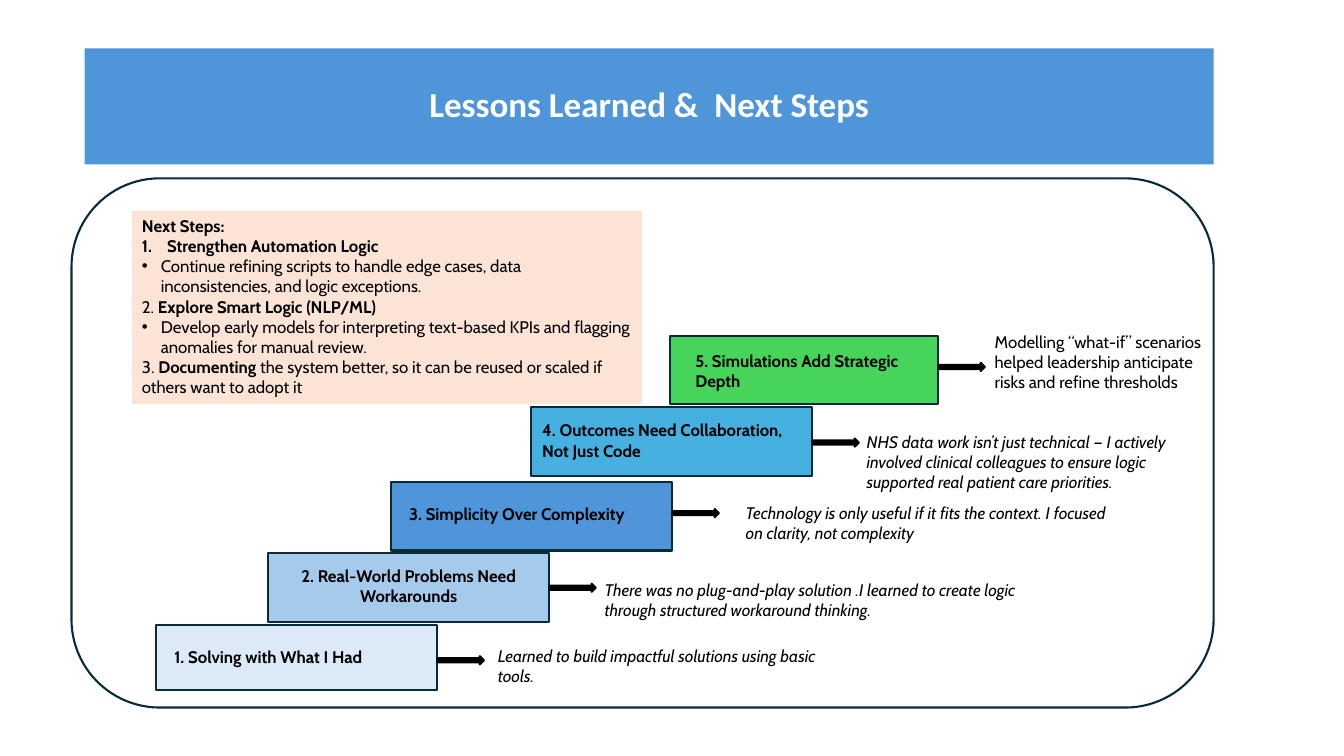
from lxml import etree
from pptx import Presentation
from pptx.dml.color import RGBColor
from pptx.enum.shapes import MSO_SHAPE
from pptx.enum.text import MSO_ANCHOR, PP_ALIGN
from pptx.oxml.ns import qn
from pptx.util import Pt

RECT, ROUND, ARROW = MSO_SHAPE.RECTANGLE, MSO_SHAPE.ROUNDED_RECTANGLE, MSO_SHAPE.RIGHT_ARROW
LEFT, CENTER = PP_ALIGN.LEFT, PP_ALIGN.CENTER
TOP, MIDDLE = MSO_ANCHOR.TOP, MSO_ANCHOR.MIDDLE
NAVY, BLACK, BLUE = "092A39", "000000", "4E95D9"
hue = RGBColor.from_string

deck = Presentation()
deck.slide_width, deck.slide_height = Pt(960), Pt(540)
slide = deck.slides.add_slide(deck.slide_layouts[5])


def add_box(kind, x, y, w, h, fill, line):
    box = slide.shapes.add_shape(kind, Pt(x), Pt(y), Pt(w), Pt(h))
    box.shadow.inherit = False
    if fill:
        box.fill.solid()
        box.fill.fore_color.rgb = hue(fill)
    else:
        box.fill.background()
    if line:
        box.line.color.rgb = hue(line)
        box.line.width = Pt(1.5)
    else:
        box.line.fill.background()
    return box


def add_run(para, text, bold=False, italic=False, size=12, face="Cabin", color=BLACK):
    run = para.add_run()
    run.text = text
    font = run.font
    font.name, font.size, font.bold, font.italic = face, Pt(size), bold, italic
    font.color.rgb = hue(color)


# Title banner
title = slide.shapes.title
title.left, title.top, title.width, title.height = Pt(60.5), Pt(34.6), Pt(806.4), Pt(82.8)
title.fill.solid()
title.fill.fore_color.rgb = hue(BLUE)
title.text_frame.vertical_anchor = MIDDLE
para = title.text_frame.paragraphs[0]
para.alignment, para.line_spacing = CENTER, 0.9
add_run(para, "Lessons Learned &  Next Steps", True, size=25, face="Calibri", color="FFFFFF")

# Frame
add_box(ROUND, 51.1, 127.4, 815.8, 378, None, NAVY)

# Staircase: step box, fill, arrow top, label and note with their boxes
steps = [
    ((111.6, 446.4, 200.9, 46.4), "DCEAF7", 468.7,
     "1. Solving with What I Had", (117.4, 458.6, 174.2, 21.8),
     "Learned to build impactful solutions using basic tools.", (348.5, 457.9, 261.4, 36.4)),
    ((191.5, 395.3, 200.9, 49), "A6CAEC", 416.9,
     "2. Real-World Problems Need Workarounds", (191.5, 400.3, 200.9, 36.4),
     "There was no plug-and-play solution .I learned to create logic "
     "through structured workaround thinking.", (424.8, 410.4, 314.6, 36.4)),
    ((279.4, 344.2, 200.9, 49), BLUE, 363.6,
     "3. Simplicity Over Complexity", (285.1, 356.4, 193.7, 21.8),
     "Technology is only useful if it fits the context. I focused on clarity, "
     "not complexity", (525.6, 355.7, 283, 36.4)),
    ((379.4, 290.9, 200.9, 49), "46B1E1", 313.2,
     "4. Outcomes Need Collaboration, Not Just Code", (380.2, 296.6, 196.6, 36.4),
     "NHS data work isn’t just technical — I actively involved clinical colleagues "
     "to ensure logic supported real patient care priorities.", (612, 304.6, 249.1, 50.9)),
    ((478.8, 239.8, 191.5, 49), "47D45A", 259.2,
     "5. Simulations Add Strategic Depth", (489.6, 247, 175.7, 36.4),
     "Modelling “what-if” scenarios helped leadership anticipate risks and refine "
     "thresholds", (703.4, 233.3, 164.2, 65.5)),
]
for num, (place, fill, y, label, spot, note, area) in enumerate(steps, 1):
    add_box(RECT, *place, fill, NAVY)
    add_box(ARROW, place[0] + place[2], y, 33.1, 5.8, BLACK, BLACK)
    for text, rect, bold in ((label, spot, True), (note, area, False)):
        frame = slide.shapes.add_textbox(*map(Pt, rect)).text_frame
        frame.word_wrap = True
        para = frame.paragraphs[0]
        para.alignment = CENTER if bold and num == 2 else LEFT
        add_run(para, text, bold, not bold and num < 5)

# Next steps panel: mark, hanging indent, runs with their weight
plan = [
    (None, 0, [("Next Steps:", True)]),
    ("1.", 18, [("Strengthen Automation Logic", True)]),
    ("•", 13.5, [("Continue refining scripts to handle edge cases, data inconsistencies, "
                  "and logic exceptions.", False)]),
    (None, 0, [("2. ", False), ("Explore Smart Logic (NLP/ML)", True)]),
    ("•", 13.5, [("Develop early models for interpreting text-based KPIs and flagging "
                  "anomalies for manual review.", False)]),
    (None, 0, [("3.", False), (" Documenting ", True),
               ("the system better, so it can be reused or scaled if others want to adopt it",
                False)]),
]
frame = add_box(RECT, 94.3, 150.5, 364.3, 138.2, "FBE3D6", None).text_frame
frame.word_wrap, frame.vertical_anchor = True, TOP
for num, (mark, indent, runs) in enumerate(plan):
    para = frame.add_paragraph() if num else frame.paragraphs[0]
    para.alignment = LEFT
    if mark:
        props = para._p.get_or_add_pPr()
        props.set("marL", str(Pt(indent)))
        props.set("indent", str(-Pt(indent)))
        if mark == "•":
            etree.SubElement(props, qn("a:buFont"), typeface="Arial")
            etree.SubElement(props, qn("a:buChar"), char=mark)
        else:
            etree.SubElement(props, qn("a:buFont"), typeface="+mj-lt")
            etree.SubElement(props, qn("a:buAutoNum"), type="arabicPeriod")
    for text, bold in runs:
        add_run(para, text, bold)

deck.save("out.pptx")
